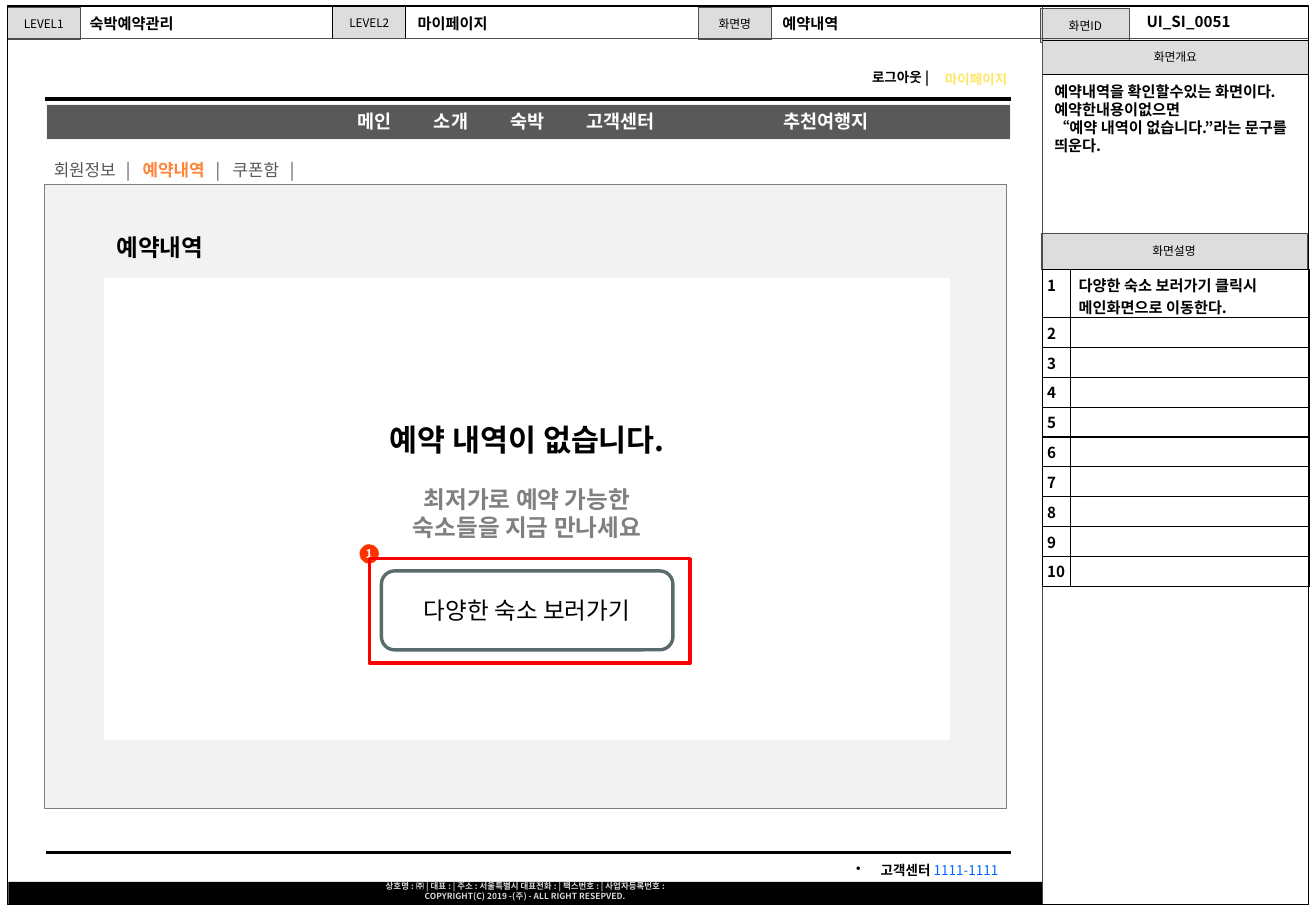
"""Build the booking history screen specification slide."""
from pptx import Presentation
from pptx.dml.color import RGBColor
from pptx.enum.shapes import MSO_CONNECTOR, MSO_SHAPE
from pptx.enum.text import MSO_ANCHOR, MSO_AUTO_SIZE, PP_ALIGN
from pptx.oxml.xmlchemy import OxmlElement
from pptx.util import Pt

FONT = "Noto Sans CJK KR"
LEAD = 1.185
COLORS = {
    "black": "000000", "white": "FFFFFF", "label": "DDDDDD", "edge": "4D4D4D",
    "bar": "595959", "pale": "F2F2F2", "frame": "7F7F7F", "muted": "808080",
    "legal": "D8D8D8", "orange": "FF843A", "yellow": "FFE766", "phone": "0066FF",
    "teal": "596B6D", "red": "FF0000", "badge": "FF3300",
}


def rgb(name):
    return RGBColor.from_string(COLORS[name])


def node(tag, parent, **attrs):
    item = OxmlElement(tag)
    for key, value in attrs.items():
        item.set(key, str(value))
    parent.append(item)
    return item


def style(font, size, color, bold, face=FONT):
    font.size = Pt(size)
    font.bold = bold
    font.color.rgb = rgb(color)
    font.name = face
    node("a:ea", font._rPr, typeface=FONT)


def write(para, text, size, color="black", bold=False, align=PP_ALIGN.LEFT,
          face=FONT, lead=LEAD, tabs=(), bullet=None):
    """Fill a paragraph with a string, or with (text, color, bold) runs."""
    para.alignment = align
    if lead:
        para.line_spacing = Pt(round(size * lead, 1))
    props = para._p.get_or_add_pPr()
    if bullet:
        node("a:buChar", props, char=bullet)
    if tabs:
        stops = node("a:tabLst", props)
        for stop in tabs:
            node("a:tab", stops, pos=Pt(stop), algn="l")
    if isinstance(text, str):
        para.text = text
        style(para.font, size, color, bold, face)
        return
    for part, shade, heavy in text:
        run = para.add_run()
        run.text = part
        style(run.font, size, shade, heavy)


def inset(frame, side=7.2, top=3.6, anchor=MSO_ANCHOR.TOP):
    frame.word_wrap = True
    frame.margin_left = frame.margin_right = Pt(side)
    frame.margin_top = frame.margin_bottom = Pt(top)
    frame.vertical_anchor = anchor


def box(slide, at, fill=None, line=None, width=0.75, kind=MSO_SHAPE.RECTANGLE):
    shape = slide.shapes.add_shape(kind, *map(Pt, at))
    shape.shadow.inherit = False
    if fill:
        shape.fill.solid()
        shape.fill.fore_color.rgb = rgb(fill)
    else:
        shape.fill.background()
    if line:
        shape.line.color.rgb = rgb(line)
        shape.line.width = Pt(width)
    else:
        shape.line.fill.background()
    return shape


def label(slide, text, at, edge):
    frame = box(slide, at, "label", edge, 0.5).text_frame
    inset(frame, anchor=MSO_ANCHOR.MIDDLE)
    write(frame.paragraphs[0], text, 7, align=PP_ALIGN.CENTER)


def note(slide, at, lines, size, color="black", bold=True, **opts):
    frame = slide.shapes.add_textbox(*map(Pt, at)).text_frame
    inset(frame)
    for i, text in enumerate(lines):
        para = frame.add_paragraph() if i else frame.paragraphs[0]
        write(para, text, size, color, bold, **opts)


def rule(slide, start, end, color, width):
    line = slide.shapes.add_connector(MSO_CONNECTOR.STRAIGHT, *map(Pt, start + end))
    line.line.color.rgb = rgb(color)
    line.line.width = Pt(width)
    node("a:effectLst", line._element.spPr)


def border(cell):
    props = cell._tc.get_or_add_tcPr()
    for side in "LRTB":
        edge = node(f"a:ln{side}", props, w=Pt(0.75))
        node("a:srgbClr", node("a:solidFill", edge), val=COLORS["black"])
    cell.fill.background()


def steps(slide, at, texts, count):
    table = slide.shapes.add_table(count, 2, *map(Pt, at)).table
    table.first_row = table.horz_banding = False
    for col, width in zip(table.columns, (16.6, 141.8)):
        col.width = Pt(width)
    for i, row in enumerate(table.rows):
        row.height = Pt(17.7 if i else 28.5)
        text = texts[i] if i < len(texts) else ""
        for cell, words, side in zip(row.cells, (str(i + 1), text), (2.9, 5)):
            border(cell)
            cell.margin_left = cell.margin_right = Pt(side)
            cell.margin_top, cell.margin_bottom = Pt(2.4), 0
            write(cell.text_frame.paragraphs[0], words, 9, bold=True, lead=None)


def head(slide):
    title = slide.shapes.title
    title.left, title.top, title.width, title.height = map(Pt, (456.5, 5, 109.4, 18))
    inset(title.text_frame)
    title.text_frame.auto_size = MSO_AUTO_SIZE.NONE
    write(title.text_frame.paragraphs[0], "예약내역", 9, bold=True)
    for text, at, edge in (
        ("LEVEL1", (4.3, 4.3, 43.2, 19.4), "edge"),
        ("화면명", (414, 4.3, 43.2, 19.4), "edge"),
        ("화면설명", (617, 138.2, 157.7, 21.6), "edge"),
        ("화면ID", (617, 5, 52.6, 20.2), "edge"),
        ("화면개요", (617.8, 23.8, 157.7, 20.2), "black"),
        ("LEVEL2", (197.3, 3.6, 43.2, 19.4), "black"),
    ):
        label(slide, text, at, edge)
    rule(slide, (617.8, 3.6), (617.8, 536.4), "edge", 0.75)
    box(slide, (4.3, 3.6, 771.1, 532.8), line="black")
    rule(slide, (5, 23), (775.4, 23), "edge", 0.5)
    for text, left, top in (("숙박예약관리", 46.1, 5), ("마이페이지", 240.5, 5),
                            ("UI_SI_0051", 672.5, 4)):
        note(slide, (left, top, 100, 18), [text], 9)


def site(slide):
    rule(slide, (26.6, 58.5), (599, 58.5), "black", 2.25)
    rule(slide, (27.4, 505.5), (599, 505.5), "black", 2)
    note(slide, (509.8, 37.4, 50, 17), ["로그아웃 |"], 8)
    note(slide, (553, 38.9, 58.3, 17), ["마이페이지"], 8, "yellow")
    menu = box(slide, (27.4, 62, 571.7, 20.9), "bar", "pale").text_frame
    inset(menu)
    write(menu.paragraphs[0], "\t메인\t소개\t숙박\t고객센터", 11, "white", True,
          tabs=[177.5 + 45.25 * i for i in range(4)])
    note(slide, (457.2, 62, 121.7, 20.9), ["추천여행지"], 11, "white")
    note(slide, (24.8, 91.4, 252, 18),
         [[("회원정보\t|\t", "bar", False), ("예약내역", "orange", True),
           ("\t|\t쿠폰함\t|", "bar", False)]],
         10, tabs=(42.7, 52.7, 96, 106, 139.9))
    note(slide, (500.4, 507.6, 98.6, 17),
         [[(" 고객센터 ", "black", True), ("1111-1111", "phone", False)]],
         8, align=PP_ALIGN.RIGHT, bullet="•")
    box(slide, (5, 522.7, 612.7, 13.7), "black")
    note(slide, (5, 519.1, 612.7, 17.3),
         ["상호명 : ㈜ | 대표 : | 주소 : 서울특별시 대표전화 : | 팩스번호 : | 사업자등록번호 :",
          "COPYRIGHT(C) 2019 -(주) - ALL RIGHT RESEPVED."],
         5, "legal", align=PP_ALIGN.CENTER)


def panel(slide):
    box(slide, (26.6, 109.4, 570.2, 370.1), "pale", "frame")
    frame = box(slide, (61.9, 164.9, 501.1, 273.6), "white", "white").text_frame
    inset(frame, top=85.3)
    lines = (("예약 내역이 없습니다.", 18, "black"),
             ("최저가로 예약 가능한", 14, "muted"),
             ("숙소들을 지금 만나세요", 14, "muted"))
    for i, (text, size, color) in enumerate(lines):
        para = frame.add_paragraph() if i else frame.paragraphs[0]
        write(para, text, size, color, True, PP_ALIGN.CENTER)
        if i == 1:
            para.space_before = Pt(16)
    note(slide, (61.9, 134.6, 173.5, 23), ["예약내역"], 14)
    button = box(slide, (226.1, 338.4, 172.8, 46.8), "white", "teal", 2,
                 MSO_SHAPE.FLOWCHART_ALTERNATE_PROCESS).text_frame
    inset(button, anchor=MSO_ANCHOR.MIDDLE)
    write(button.paragraphs[0], "다양한 숙소 보러가기", 14,
          align=PP_ALIGN.CENTER, face="Arial")
    badge = box(slide, (213.1, 322.6, 11.5, 11.5), "badge",
                kind=MSO_SHAPE.OVAL).text_frame
    inset(badge, 0, 0, MSO_ANCHOR.MIDDLE)
    write(badge.paragraphs[0], "1", 7, "white", True, PP_ALIGN.CENTER)
    box(slide, (218.9, 331.2, 190.1, 61.9), line="red", width=2)


def main():
    deck = Presentation()
    deck.slide_width, deck.slide_height = Pt(780), Pt(540)
    slide = deck.slides.add_slide(deck.slide_layouts[5])
    head(slide)
    site(slide)
    panel(slide)
    steps(slide, (617.8, 159.8, 158.4, 187.8),
          ["다양한 숙소 보러가기 클릭시 메인화면으로 이동한다."], 10)
    note(slide, (617.8, 45.5, 158.4, 50.4),
         ["예약내역을 확인할수있는 화면이다.", "예약한내용이없으면",
          "“예약 내역이 없습니다.”라는 문구를 띄운다."], 9)
    deck.save("out.pptx")


if __name__ == "__main__":
    main()
